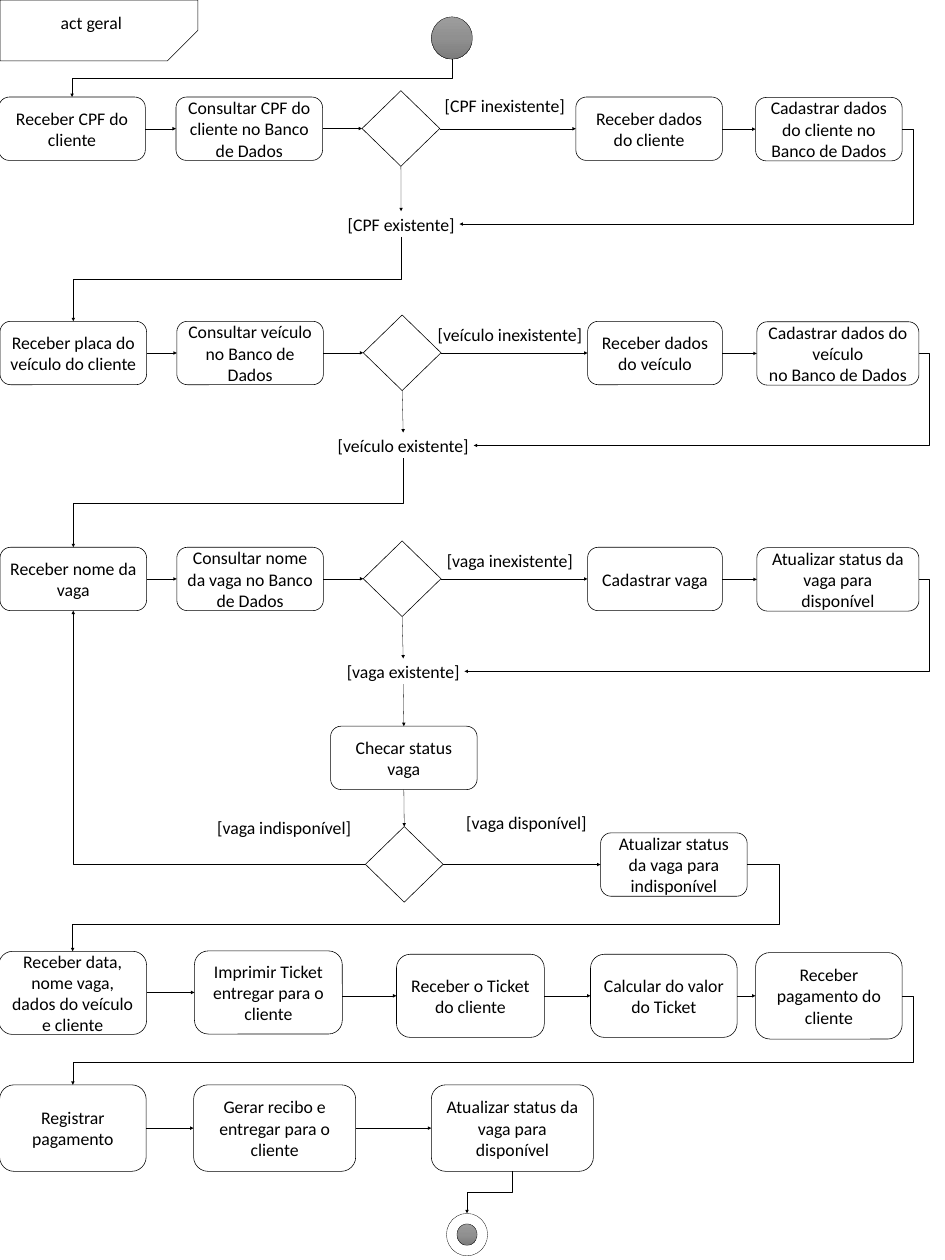
from copy import deepcopy
from dataclasses import dataclass
from itertools import pairwise

from pptx import Presentation
from pptx.dml.color import RGBColor
from pptx.enum.shapes import MSO_CONNECTOR, MSO_SHAPE
from pptx.enum.text import MSO_ANCHOR, MSO_AUTO_SIZE, PP_ALIGN
from pptx.oxml.ns import qn
from pptx.oxml.xmlchemy import OxmlElement
from pptx.util import Cm, Pt

ROUND, DIAMOND = MSO_SHAPE.ROUNDED_RECTANGLE, MSO_SHAPE.FLOWCHART_DECISION
OVAL, SNIP = MSO_SHAPE.OVAL, MSO_SHAPE.SNIP_1_RECTANGLE
STRAIGHT, ELBOW = MSO_CONNECTOR.STRAIGHT, MSO_CONNECTOR.ELBOW
MIDDLE, CENTER = MSO_ANCHOR.MIDDLE, PP_ALIGN.CENTER
FIT = MSO_AUTO_SIZE.SHAPE_TO_FIT_TEXT

BLACK = "000000"
GREYS = ((0, "9D9D9D"), (0.5, "909090"), (1, "7C7C7C"))
FONT, SIZE = "Calibri", 30.4
BOX_H, LABEL_H = 1.51, 0.61


@dataclass
class Box:
    """A node of the flow, measured in inches."""
    left: float
    top: float
    width: float
    height: float
    text: str = ""

    @property
    def right(self) -> float:
        return self.left + self.width

    @property
    def bottom(self) -> float:
        return self.top + self.height

    @property
    def mid_x(self) -> float:
        return self.left + self.width / 2

    @property
    def mid_y(self) -> float:
        return self.top + self.height / 2


@dataclass
class CheckRow:
    """Look up a record, and create it when it is missing."""
    top: float
    columns: tuple  # (left, width) of two boxes, the decision, two boxes
    texts: tuple
    missing: Box
    found: Box


def inch(value: float) -> Cm:
    return Cm(value * 2.54)


def rgb(color: str) -> RGBColor:
    return RGBColor.from_string(color)


def write(tf, text: str, size: float = SIZE) -> None:
    tf.text = text
    for p in tf.paragraphs:
        p.alignment = CENTER
        p.font.name, p.font.size, p.font.color.rgb = FONT, Pt(size), rgb(BLACK)


def add_node(shapes, kind, b: Box, weight: float = 1):
    sp = shapes.add_shape(kind, inch(b.left), inch(b.top), inch(b.width), inch(b.height))
    sp.shadow.inherit = False
    sp.fill.background()
    sp.line.color.rgb, sp.line.width = rgb(BLACK), Pt(weight)
    return sp


def add_action(shapes, b: Box, kind=ROUND, inset: float = 0.17, size: float = SIZE):
    sp = add_node(shapes, kind, b)
    tf = sp.text_frame
    tf.vertical_anchor, tf.word_wrap = MIDDLE, True
    tf.margin_left = tf.margin_right = inch(inset)
    tf.margin_top = tf.margin_bottom = inch(inset / 2)
    write(tf, b.text, size)
    return sp


def add_label(shapes, b: Box) -> None:
    s = shapes.add_textbox(inch(b.left), inch(b.top), inch(b.width), inch(b.height))
    s.text_frame.word_wrap, s.text_frame.auto_size = False, FIT
    write(s.text_frame, b.text)


def add_grey_disc(shapes, b: Box) -> None:
    sp = add_node(shapes, OVAL, b, 0.5)
    sp.fill.gradient()
    sp.fill.gradient_angle = 270
    stops = sp._element.spPr.find(".//" + qn("a:gsLst"))
    stops.insert(1, deepcopy(stops[0]))
    for stop, (position, color) in zip(sp.fill.gradient_stops, GREYS):
        stop.position, stop.color.rgb = position, rgb(color)


def add_arrow(shapes, x1: float, y1: float, x2: float, y2: float, kind=STRAIGHT):
    c = shapes.add_connector(kind, inch(x1), inch(y1), inch(x2), inch(y2))
    c.line.color.rgb, c.line.width = rgb(BLACK), Pt(0.5)
    head = OxmlElement("a:tailEnd")
    head.set("type", "triangle")
    c.line._get_or_add_ln().append(head)
    c._element.spPr.append(OxmlElement("a:effectLst"))
    return c


def add_elbow(shapes, x1: float, y1: float, x2: float, y2: float, *bends: float) -> None:
    """Leave sideways; bends are fractions of the width, then of the height."""
    c = add_arrow(shapes, x1, y1, x2, y2, ELBOW)
    geom = c._element.spPr.find(qn("a:prstGeom"))
    geom.set("prst", f"bentConnector{len(bends) + 2}")
    for i, bend in enumerate(bends, 1):
        gd = OxmlElement("a:gd")
        gd.set("name", f"adj{i}")
        gd.set("fmla", f"val {round(bend * 100000)}")
        geom.find(qn("a:avLst")).append(gd)


def add_drop(shapes, x1: float, y1: float, x2: float, y2: float) -> None:
    """Go down, left and down again: an elbow turned by a quarter."""
    cx, cy, w, h = (x1 + x2) / 2, (y1 + y2) / 2, y2 - y1, x1 - x2
    c = add_arrow(shapes, cx - w / 2, cy - h / 2, cx + w / 2, cy + h / 2, ELBOW)
    c._element.spPr.find(qn("a:xfrm")).set("rot", "5400000")


def link(shapes, nodes: list) -> None:
    for a, b in pairwise(nodes):
        add_arrow(shapes, a.right, b.mid_y, b.left, b.mid_y)


def add_check_row(shapes, row: CheckRow) -> list:
    offsets, heights = (0, 0, -0.15, 0, 0.01), (BOX_H, BOX_H, 1.8, BOX_H, BOX_H)
    nodes = [Box(left, row.top + dy, width, h, text) for (left, width), dy, h, text
             in zip(row.columns, offsets, heights, row.texts)]
    for b in nodes:
        if b.text:
            add_action(shapes, b)
        else:
            add_node(shapes, DIAMOND, b)
    link(shapes, nodes)
    add_label(shapes, row.missing)
    add_label(shapes, row.found)
    decision, last, found = nodes[2], nodes[4], row.found
    add_arrow(shapes, decision.mid_x, decision.bottom, found.mid_x, found.top)
    add_elbow(shapes, last.right, last.mid_y, found.right, found.mid_y,
              -0.25 / (last.right - found.right))
    return nodes


WIDE = ((0, 3.49), (4.21, 3.49), (8.65, 1.85), (13.99, 3.21), (18.02, 3.86))
CHECKS = (
    CheckRow(2.31, ((-0.03, 3.49), (4.19, 3.49), (8.62, 1.85), (13.71, 3.49), (17.99, 3.49)),
             ("Receber CPF do cliente", "Consultar CPF do cliente no Banco de Dados", "",
              "Receber dados do cliente", "Cadastrar dados do cliente no Banco de Dados"),
             Box(10.47, 2.21, 3.1, LABEL_H, "[CPF inexistente]"),
             Box(8.16, 5.03, 2.78, LABEL_H, "[CPF existente]")),
    CheckRow(7.65, WIDE,
             ("Receber placa do veículo do cliente", "Consultar veículo no Banco de Dados", "",
              "Receber dados do veículo", "Cadastrar dados do veículo\nno Banco de Dados"),
             Box(10.3, 7.65, 3.68, LABEL_H, "[veículo inexistente]"),
             Box(7.92, 10.3, 3.36, LABEL_H, "[veículo existente]")),
    CheckRow(13.03, WIDE,
             ("Receber nome da vaga", "Consultar nome da vaga no Banco de Dados", "",
              "Cadastrar vaga", "Atualizar status da vaga para disponível"),
             Box(10.52, 13.03, 3.24, LABEL_H, "[vaga inexistente]"),
             Box(8.14, 15.68, 2.92, LABEL_H, "[vaga existente]")),
)
TICKET = [
    Box(-0.03, 22.65, 3.52, 1.98, "Receber data, nome vaga, dados do veículo e cliente"),
    Box(4.63, 22.64, 3.52, 1.98, "Imprimir Ticket entregar para o cliente"),
    Box(9.44, 22.72, 3.52, 1.98, "Receber o Ticket do cliente"),
    Box(14.06, 22.72, 3.49, 1.98, "Calcular do valor do Ticket"),
    Box(17.99, 22.68, 3.49, 2.06, "Receber pagamento do cliente"),
]
PAYMENT = [
    Box(-0.01, 25.83, 3.49, 2.06, "Registrar pagamento"),
    Box(4.61, 25.83, 3.86, 2.06, "Gerar recibo e entregar para o cliente"),
    Box(10.27, 25.83, 3.86, 2.06, "Atualizar status da vaga para disponível"),
]


def main() -> None:
    prs = Presentation()
    prs.slide_width, prs.slide_height = inch(22.5), inch(30)
    shapes = prs.slides.add_slide(prs.slide_layouts[6]).shapes

    # Diagram title tab and start point
    tab = add_action(shapes, Box(1.63, -1.63, 1.45, 4.71, "act geral"), SNIP, 0.3, 30.3)
    tab.rotation, tab.adjustments[0] = 90, 0.5
    tab.text_frame._txBody.bodyPr.set("vert", "vert270")
    start = Box(10.27, 0.4, 0.98, 1.01)
    add_grey_disc(shapes, start)

    # Client, vehicle and parking space checks
    source = start
    for row in CHECKS:
        first = add_check_row(shapes, row)[0]
        add_drop(shapes, source.mid_x, source.bottom, first.mid_x, first.top)
        source = row.found

    # Availability of the space
    status = Box(7.87, 17.29, 3.49, BOX_H, "Checar status vaga")
    free = Box(8.7, 19.68, 1.85, 1.8)
    occupy = Box(14.3, 19.83, 3.49, BOX_H, "Atualizar status da vaga para indisponível")
    add_action(shapes, status)
    add_node(shapes, DIAMOND, free)
    add_action(shapes, occupy)
    add_label(shapes, Box(5.05, 19.4, 3.43, LABEL_H, "[vaga indisponível]"))
    add_label(shapes, Box(10.98, 19.27, 3.11, LABEL_H, "[vaga disponível]"))
    for a, b in pairwise([source, status, free]):
        add_arrow(shapes, a.mid_x, a.bottom, b.mid_x, b.top)
    link(shapes, [free, occupy])
    add_elbow(shapes, free.left, free.mid_y, first.mid_x, first.bottom)

    # Ticket and payment rows
    for nodes, origin, bends in ((TICKET, occupy, (-0.047, 0.683)),
                                 (PAYMENT, TICKET[-1], (-0.013, 0.743))):
        for b in nodes:
            add_action(shapes, b)
        link(shapes, nodes)
        add_elbow(shapes, origin.right, origin.mid_y, nodes[0].mid_x, nodes[0].top, *bends)

    # End point
    end = Box(10.63, 28.89, 0.98, 1.01)
    group = shapes.add_group_shape()
    add_node(group.shapes, OVAL, end, 0.5)
    add_grey_disc(group.shapes, Box(10.88, 29.14, 0.48, 0.51))
    add_drop(shapes, PAYMENT[-1].mid_x, PAYMENT[-1].bottom, end.mid_x, end.top)

    prs.save("out.pptx")


if __name__ == "__main__":
    main()
